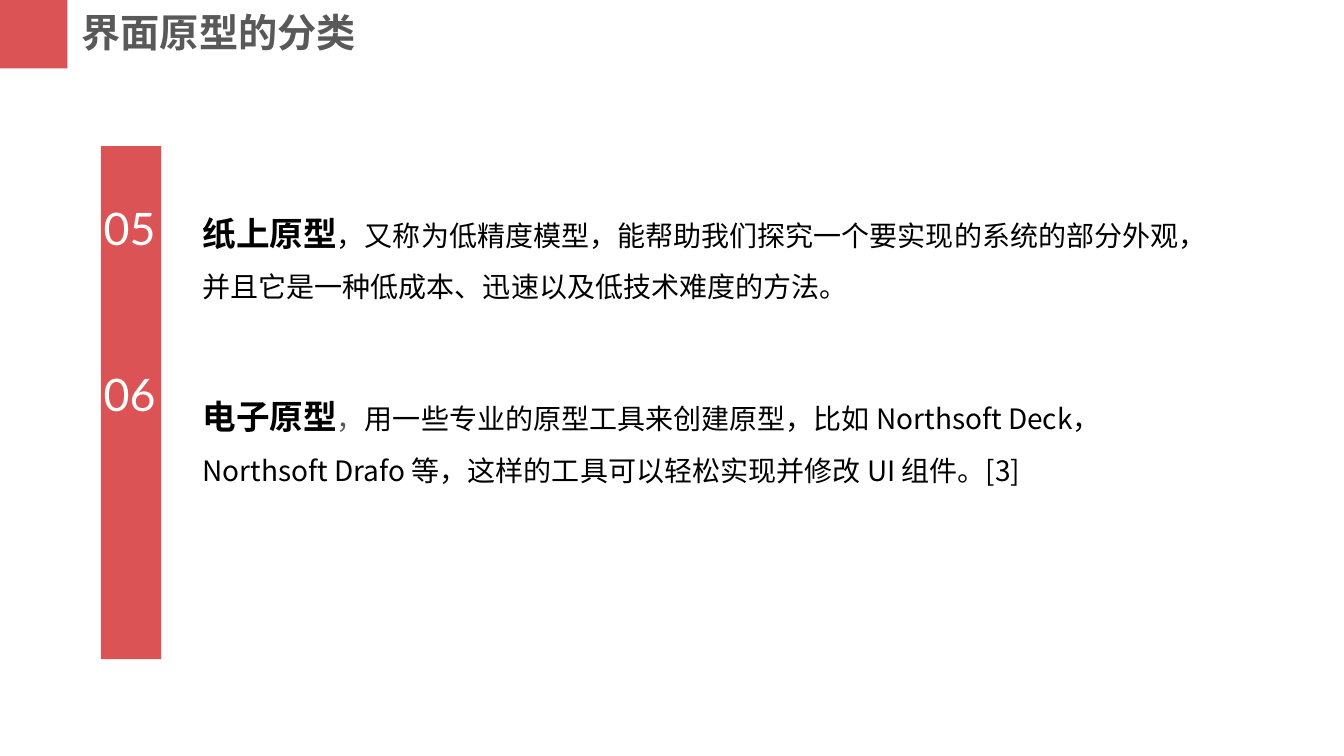
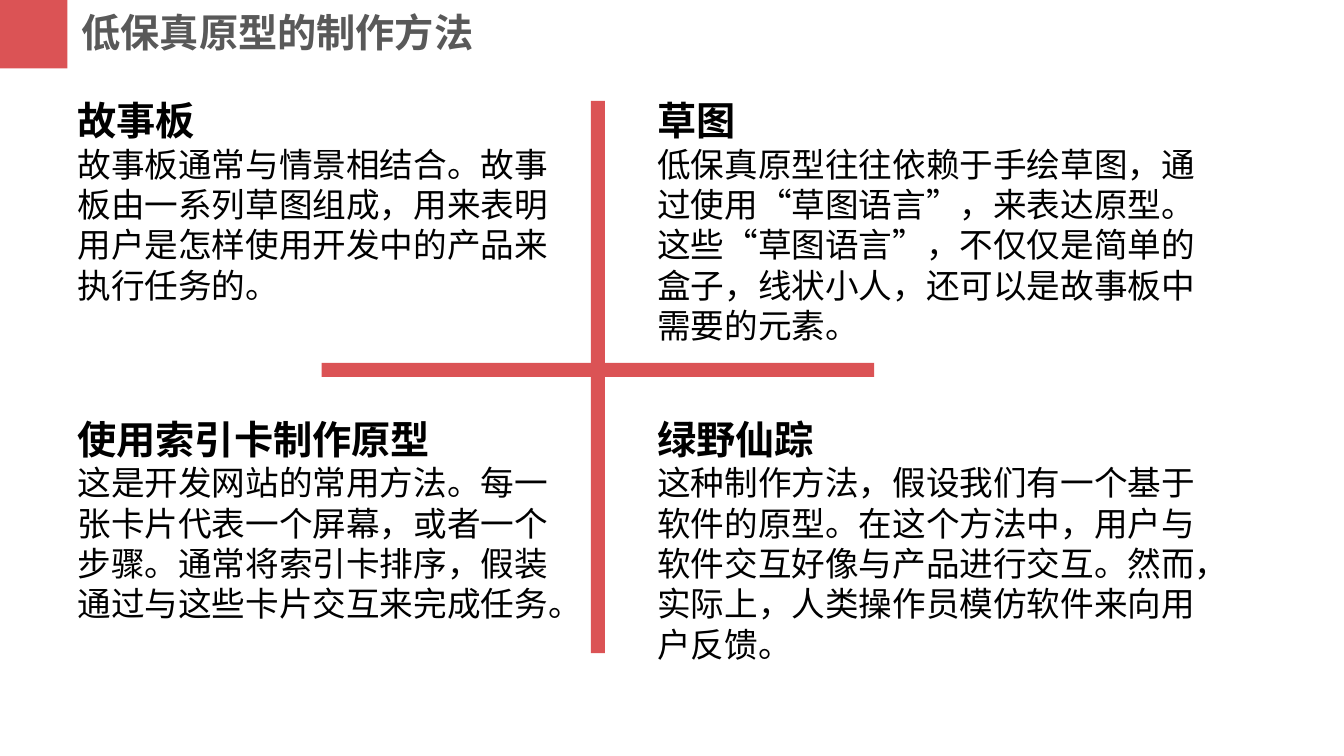
from lxml import etree
from pptx import Presentation
from pptx.dml.color import RGBColor
from pptx.enum.shapes import MSO_SHAPE
from pptx.enum.text import MSO_ANCHOR, MSO_AUTO_SIZE, PP_ALIGN
from pptx.oxml.ns import qn
from pptx.util import Inches, Pt

RECT = MSO_SHAPE.RECTANGLE
TOP = MSO_ANCHOR.TOP
NO_FIT = MSO_AUTO_SIZE.NONE
LEFT = PP_ALIGN.LEFT

COLORS = {"red": "DB5355", "gray": "595959", "black": "000000", "white": "FFFFFF"}
CJK = "Noto Sans CJK SC"
LATO = "Lato"


def add_bar(shapes, x, y, w, h):
    s = shapes.add_shape(RECT, Inches(x), Inches(y), Inches(w), Inches(h))
    s.shadow.inherit = False
    s.fill.solid()
    s.fill.fore_color.rgb = RGBColor.from_string(COLORS["red"])
    s.line.fill.background()


def style(font, size, color, bold=False, name=CJK):
    font.size = Pt(size)
    font.bold = bold
    font.color.rgb = RGBColor.from_string(COLORS[color])
    font.name = name


prs = Presentation()
prs.slide_width = Inches(13.33)
prs.slide_height = Inches(7.5)

slides = []
for title in ["界面原型的分类", "低保真原型的制作方法"]:
    slide = prs.slides.add_slide(prs.slide_layouts[5])
    add_bar(slide.shapes, 0, 0, 0.67, 0.68)
    s = slide.shapes.title
    s.left, s.top, s.width, s.height = Inches(0.71), Inches(0.03), Inches(5.25), Inches(0.57)
    tf = s.text_frame
    tf.text = title
    tf.auto_size = NO_FIT
    tf.vertical_anchor = TOP
    p = tf.paragraphs[0]
    p.alignment = LEFT
    style(p.font, 28, "gray", True)
    slides.append(slide)

types_slide, methods_slide = slides

add_bar(types_slide.shapes, 1, 1.45, 0.6, 5.09)
prototype_types = [
    ("05", 1.94, 1.86, 1.58, "纸上原型", "black",
     "又称为低精度模型，能帮助我们探究一个要实现的系统的部分外观，并且它是一种低成本、迅速以及低技术难度的方法。"),
    ("06", 3.59, 3.68, 2.09, "电子原型", "gray",
     "用一些专业的原型工具来创建原型，比如 Northsoft Deck， Northsoft Drafo 等，这样的工具可以轻松实现并修改 UI 组件。[3]"),
]
for number, number_y, text_y, text_h, term, comma_color, text in prototype_types:
    s = types_slide.shapes.add_textbox(Inches(0.93), Inches(number_y), Inches(0.81), Inches(0.64))
    tf = s.text_frame
    tf.word_wrap = True
    p = tf.paragraphs[0]
    p.text = number
    style(p.font, 32, "white", name=LATO)

    s = types_slide.shapes.add_textbox(Inches(1.91), Inches(text_y), Inches(10.1), Inches(text_h))
    tf = s.text_frame
    tf.word_wrap = True
    p = tf.paragraphs[0]
    p.line_spacing = 1.5
    for part, size, color, bold in [(term, 24, "black", True), ("，", 20, comma_color, False),
                                    (text, 20, "black", False)]:
        r = p.add_run()
        r.text = part
        style(r.font, size, color, bold)

add_bar(methods_slide.shapes, 5.86, 1, 0.14, 5.48)
add_bar(methods_slide.shapes, 3.19, 3.6, 5.48, 0.14)
columns = [(0.67, 4.95, 2.19), (6.42, 5.56, 2.59)]
rows = [0.91, 4.07]
methods = [
    ("故事板", "故事板通常与情景相结合。故事板由一系列草图组成，用来表明用户是怎样使用开发中的产品来执行任务的。"),
    ("草图", "低保真原型往往依赖于手绘草图，通过使用“草图语言”，来表达原型。这些“草图语言”，不仅仅是简单的盒子，线状小人，还可以是故事板中需要的元素。"),
    ("使用索引卡制作原型", "这是开发网站的常用方法。每一张卡片代表一个屏幕，或者一个步骤。通常将索引卡排序，假装通过与这些卡片交互来完成任务。"),
    ("绿野仙踪", "这种制作方法，假设我们有一个基于软件的原型。在这个方法中，用户与软件交互好像与产品进行交互。然而，实际上，人类操作员模仿软件来向用户反馈。"),
]
for i, (heading, text) in enumerate(methods):
    x, w, h = columns[i % 2]
    s = methods_slide.shapes.add_textbox(Inches(x), Inches(rows[i // 2]), Inches(w), Inches(h))
    tf = s.text_frame
    tf.word_wrap = True
    p = tf.paragraphs[0]
    p.text = heading
    style(p.font, 28, "black", True)
    p = tf.add_paragraph()
    p.text = text
    style(p.font, 24, "black")

for slide in slides:
    for latin in list(slide.element.iter(qn("a:latin"))):
        east_asian = etree.Element(qn("a:ea"), typeface=latin.get("typeface"))
        latin.addnext(east_asian)

prs.save("out.pptx")
